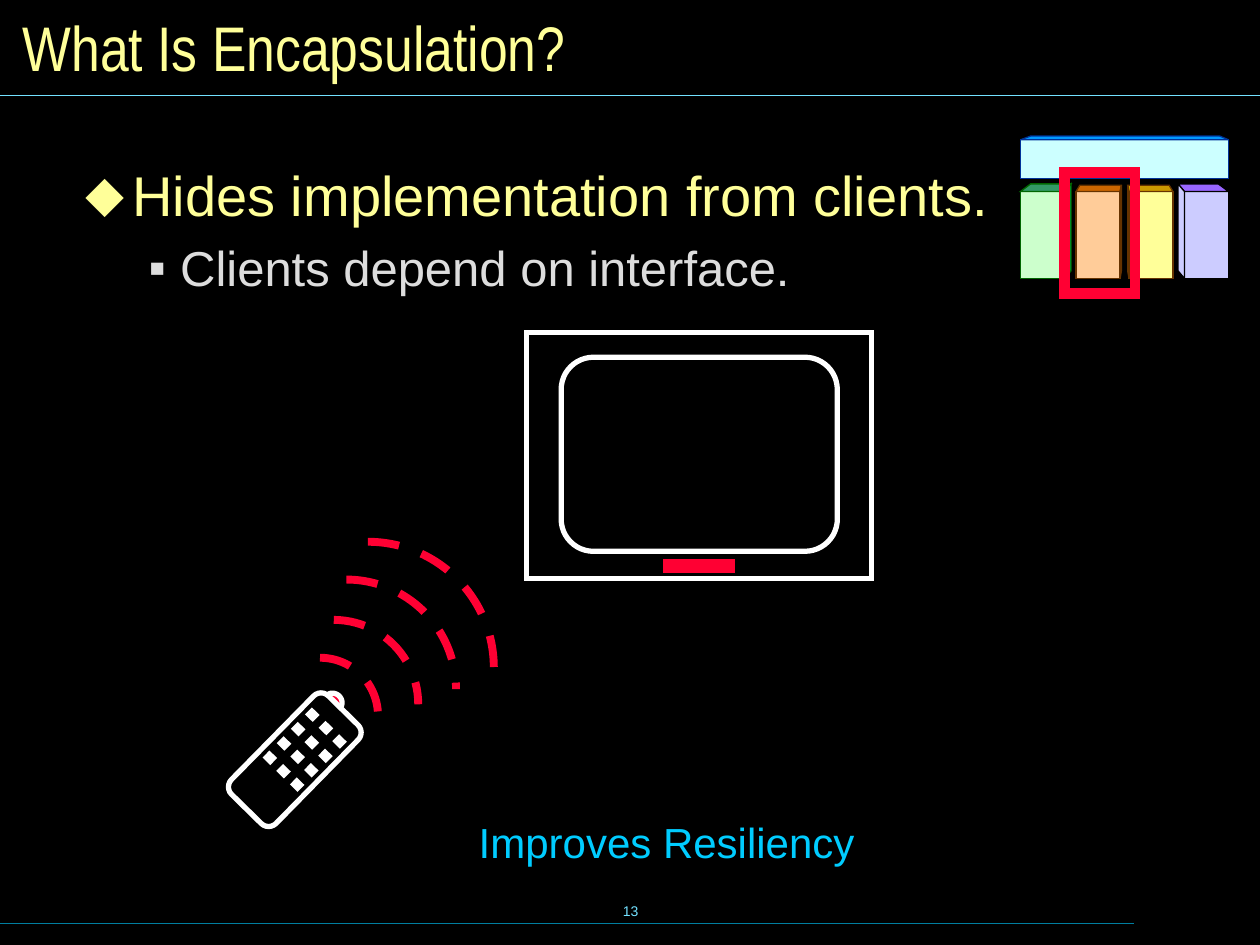
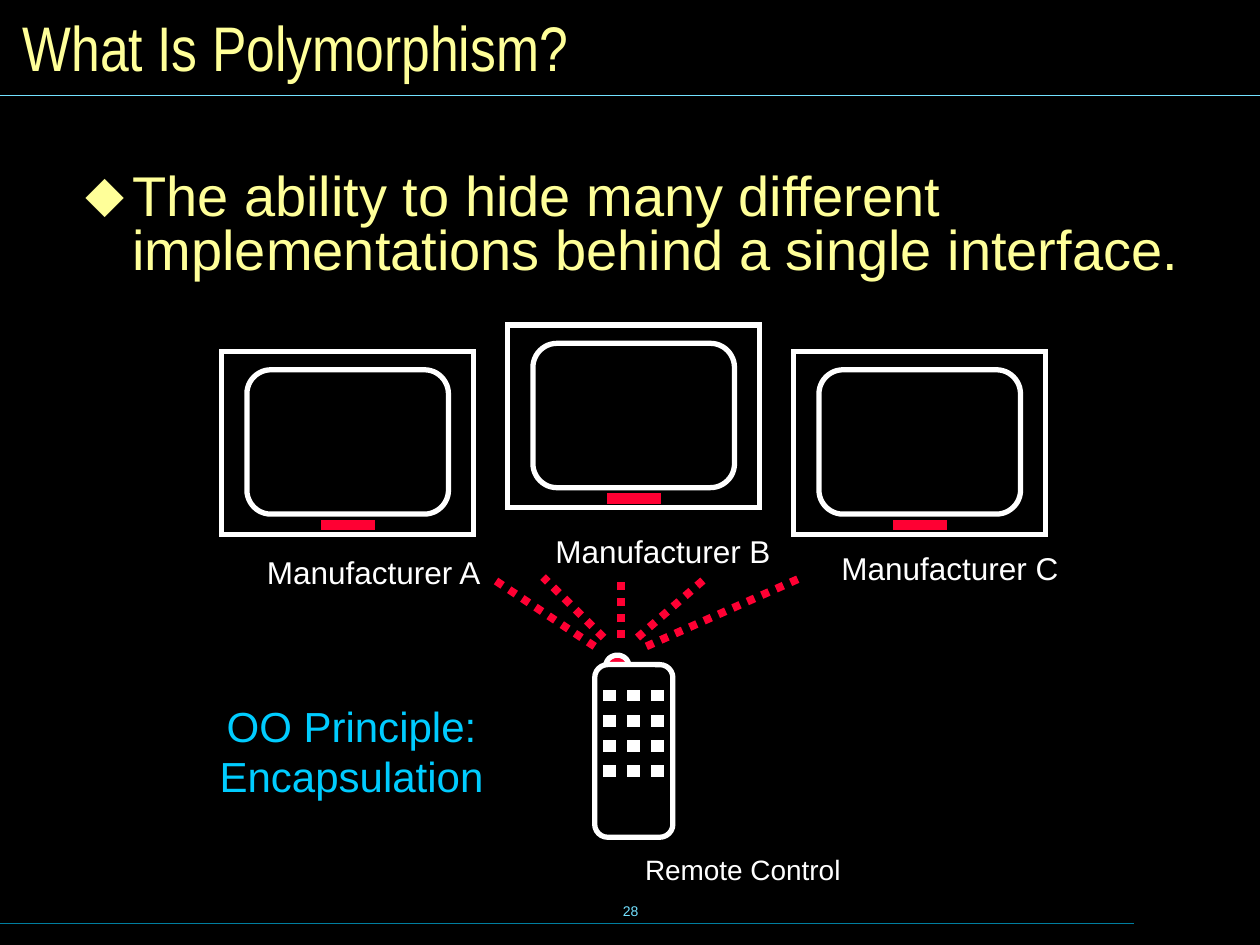
from dataclasses import dataclass
from itertools import product
from math import cos, pi, radians, sin

from lxml.etree import SubElement
from pptx import Presentation
from pptx.dml.color import RGBColor
from pptx.enum.dml import MSO_LINE
from pptx.enum.shapes import MSO_CONNECTOR, MSO_SHAPE
from pptx.enum.text import MSO_ANCHOR, MSO_AUTO_SIZE, PP_ALIGN
from pptx.oxml.ns import qn
from pptx.util import Inches, Pt

BLACK = RGBColor(0x00, 0x00, 0x00)
WHITE = RGBColor(0xFF, 0xFF, 0xFF)
RED = RGBColor(0xFF, 0x00, 0x33)
PALE_YELLOW = RGBColor(0xFF, 0xFF, 0x99)
LIGHT_GRAY = RGBColor(0xDD, 0xDD, 0xDD)
SKY_BLUE = RGBColor(0x00, 0xCC, 0xFF)
LIGHT_CYAN = RGBColor(0x73, 0xE1, 0xFF)
DARK_CYAN = RGBColor(0x00, 0x7E, 0x9F)
DARK_GREEN = RGBColor(0x00, 0x66, 0x00)
BROWN = RGBColor(0x66, 0x33, 0x00)
LAVENDER = RGBColor(0xCC, 0xCC, 0xFF)

Point = tuple[float, float]


@dataclass(frozen=True)
class BulletLevel:
    symbol: str
    color: RGBColor
    size: float
    margin: float
    hanging: float
    line_spacing: float
    space_before: float


@dataclass(frozen=True)
class Label:
    text: str
    left: float
    top: float
    width: float
    height: float
    size: float
    color: RGBColor = WHITE
    align: PP_ALIGN = PP_ALIGN.LEFT
    inset: float = 0.1
    anchor: MSO_ANCHOR = MSO_ANCHOR.TOP


@dataclass(frozen=True)
class Television:
    left: float
    top: float
    width: float = 2
    height: float = 1.45


@dataclass(frozen=True)
class Remote:
    center: Point
    scale: float = 1
    rotation: float = 0

    def place(self, x: float, y: float) -> Point:
        """Turn an offset from the upright remote's centre into a slide position."""
        angle = radians(self.rotation)
        return (self.center[0] + self.scale * (x * cos(angle) - y * sin(angle)),
                self.center[1] + self.scale * (x * sin(angle) + y * cos(angle)))


@dataclass(frozen=True)
class Wave:
    center: Point
    radius: float


@dataclass(frozen=True)
class Block:
    left: float
    right: float
    top: float
    bottom: float
    back_left: float
    back_right: float
    back_top: float
    front: RGBColor
    lid: RGBColor
    side: RGBColor
    edge: RGBColor


LEVELS = (
    BulletLevel("⬥", PALE_YELLOW, 32, 0.37, 0.37, 0.8, 12),
    BulletLevel("▪", LIGHT_GRAY, 28, 0.75, 0.25, 0.87, 10.5),
)

WAVES = (
    Wave((2.54, 5.68), 0.46),
    Wave((2.65, 5.59), 0.67),
    Wave((2.75, 5.47), 0.87),
    Wave((2.92, 5.3), 1),
)

BLOCKS = (
    Block(8.1, 8.45, 1.52, 2.21, 8.18, 8.5, 1.46, RGBColor(0xCC, 0xFF, 0xCC),
          RGBColor(0x33, 0x99, 0x66), RGBColor(0x00, 0xCC, 0x66), DARK_GREEN),
    Block(9.4, 9.75, 1.52, 2.21, 9.35, 9.67, 1.46, LAVENDER,
          RGBColor(0x99, 0x66, 0xFF), LAVENDER, BLACK),
    Block(8.1, 9.75, 1.11, 1.42, 8.18, 9.68, 1.08, RGBColor(0xCC, 0xFF, 0xFF),
          RGBColor(0x00, 0x99, 0xFF), SKY_BLUE, RGBColor(0x00, 0x33, 0x99)),
    Block(8.54, 8.89, 1.52, 2.21, 8.57, 8.9, 1.47, RGBColor(0xFF, 0xCC, 0x99),
          RGBColor(0xCC, 0x66, 0x00), RGBColor(0xCC, 0x66, 0x00), BROWN),
    Block(8.96, 9.31, 1.52, 2.21, 8.95, 9.28, 1.47, PALE_YELLOW,
          RGBColor(0xCC, 0x99, 0x00), RGBColor(0xCC, 0xCC, 0x00), BROWN),
)


# Drawing helpers
def style_shape(shape, fill: RGBColor | None, line: RGBColor, width: float) -> None:
    shape.shadow.inherit = False
    if fill is None:
        shape.fill.background()
    else:
        shape.fill.solid()
        shape.fill.fore_color.rgb = fill
    shape.line.color.rgb = line
    shape.line.width = Pt(width)
    # Square corners
    SubElement(shape._element.spPr.find(qn("a:ln")), qn("a:miter"), lim="800000")


def add_box(slide, kind: MSO_SHAPE, left: float, top: float, width: float, height: float,
            fill: RGBColor | None, line: RGBColor, line_width: float):
    shape = slide.shapes.add_shape(kind, Inches(left), Inches(top), Inches(width), Inches(height))
    style_shape(shape, fill, line, line_width)
    return shape


def add_outline(slide, points: list[Point], fill: RGBColor, line: RGBColor,
                line_width: float, close: bool = True) -> None:
    start, *others = [(Inches(x), Inches(y)) for x, y in points]
    builder = slide.shapes.build_freeform(*start)
    builder.add_line_segments(others, close=close)
    style_shape(builder.convert_to_shape(), fill, line, line_width)


def add_line(slide, start: Point, end: Point, color: RGBColor, width: float):
    connector = slide.shapes.add_connector(
        MSO_CONNECTOR.STRAIGHT, *(Inches(value) for value in start + end))
    connector.line.color.rgb = color
    connector.line.width = Pt(width)
    SubElement(connector._element.spPr, qn("a:effectLst"))
    return connector


def set_font(paragraph, name: str, size: float, color: RGBColor) -> None:
    paragraph.font.name = name
    paragraph.font.size = Pt(size)
    paragraph.font.color.rgb = color


def set_insets(frame, inset: float) -> None:
    frame.margin_left = frame.margin_right = Inches(inset)
    frame.margin_top = frame.margin_bottom = Inches(inset / 2)


def add_label(slide, label: Label) -> None:
    box = slide.shapes.add_textbox(Inches(label.left), Inches(label.top),
                                   Inches(label.width), Inches(label.height))
    frame = box.text_frame
    frame.word_wrap = True
    frame.vertical_anchor = label.anchor
    set_insets(frame, label.inset)
    paragraph = frame.paragraphs[0]
    paragraph.text = label.text
    paragraph.alignment = label.align
    set_font(paragraph, "Arial", label.size, label.color)


def add_principle(slide, text: str, left: float, top: float, height: float) -> None:
    add_label(slide, Label(text, left, top, 4.58, height, 24, SKY_BLUE,
                           PP_ALIGN.CENTER, inset=0.12))


# Placeholders and the frame every slide shares
def place(shape, left: float, top: float, width: float, height: float) -> None:
    shape.left, shape.top = Inches(left), Inches(top)
    shape.width, shape.height = Inches(width), Inches(height)
    shape.text_frame.auto_size = MSO_AUTO_SIZE.NONE


def fill_title(title, text: str) -> None:
    place(title, 0.08, 0.08, 9.84, 0.58)
    title.text_frame.vertical_anchor = MSO_ANCHOR.MIDDLE
    set_insets(title.text_frame, 0.1)
    paragraph = title.text_frame.paragraphs[0]
    paragraph.text = text
    paragraph.alignment = PP_ALIGN.LEFT
    set_font(paragraph, "Arial Narrow", 36, PALE_YELLOW)


def fill_body(body, items: list[str]) -> None:
    place(body, 0.56, 1.32, 9.28, 5.52)
    frame = body.text_frame
    set_insets(frame, 0.12)
    for index, (text, level) in enumerate(zip(items, LEVELS)):
        paragraph = frame.add_paragraph() if index else frame.paragraphs[0]
        paragraph.text = text
        paragraph.level = index
        properties = paragraph._p.get_or_add_pPr()
        properties.set("marL", str(Inches(level.margin)))
        properties.set("indent", str(-Inches(level.hanging)))
        bullet_color = SubElement(properties, qn("a:buClr"))
        SubElement(bullet_color, qn("a:srgbClr"), val=str(level.color))
        SubElement(properties, qn("a:buChar"), char=level.symbol)
        paragraph.line_spacing = level.line_spacing
        paragraph.space_before = Pt(level.space_before if index else 0)
        set_font(paragraph, "Arial", level.size, level.color)


def add_content_slide(presentation, title: str, items: list[str], number: str):
    slide = presentation.slides.add_slide(presentation.slide_layouts[1])
    add_label(slide, Label(number, 3.42, 6.98, 3.17, 0.5, 8, LIGHT_CYAN,
                           PP_ALIGN.CENTER, anchor=MSO_ANCHOR.MIDDLE))
    add_line(slide, (0, 7.33), (9, 7.33), DARK_CYAN, 0.75)
    add_line(slide, (0, 0.76), (10, 0.76), LIGHT_CYAN, 0.75)
    fill_title(slide.shapes.title, title)
    fill_body(slide.placeholders[1], items)
    return slide


# Illustrations
def draw_television(slide, tv: Television) -> None:
    def add_part(kind, x, y, width, height, fill, line, line_width):
        add_box(slide, kind, tv.left + x * tv.width, tv.top + y * tv.height,
                width * tv.width, height * tv.height, fill, line, line_width)

    add_part(MSO_SHAPE.RECTANGLE, 0, 0, 1, 1, None, WHITE, 3)
    add_part(MSO_SHAPE.ROUNDED_RECTANGLE, 0.1, 0.1, 0.8, 0.79, None, WHITE, 3)
    add_part(MSO_SHAPE.RECTANGLE, 0.4, 0.93, 0.2, 0.04, RED, RED, 2)


def draw_remote(slide, remote: Remote) -> None:
    def add_part(kind, x, y, width, height, fill, line_width):
        center_x, center_y = remote.place(x, y)
        width, height = width * remote.scale, height * remote.scale
        shape = add_box(slide, kind, center_x - width / 2, center_y - height / 2,
                        width, height, fill, WHITE, line_width)
        shape.rotation = remote.rotation

    # Emitter dome, then case and keypad
    steps = 16
    dome = [remote.place(-0.13 - 0.09 * cos(pi * step / steps),
                         -0.68 - 0.08 * sin(pi * step / steps)) for step in range(steps + 1)]
    add_outline(slide, dome, RED, WHITE, 3, close=False)
    add_part(MSO_SHAPE.ROUNDED_RECTANGLE, 0, 0, 0.62, 1.37, None, 3)
    for row, column in product(range(4), range(3)):
        add_part(MSO_SHAPE.RECTANGLE, 0.19 * (column - 1), 0.2 * row - 0.44,
                 0.09, 0.08, WHITE, 1)


def draw_wave(slide, wave: Wave) -> None:
    x, y = wave.center
    arc = add_box(slide, MSO_SHAPE.ARC, x - wave.radius, y - wave.radius,
                  2 * wave.radius, 2 * wave.radius, None, RED, 4.5)
    arc.line.dash_style = MSO_LINE.DASH


def draw_block(slide, block: Block) -> None:
    add_box(slide, MSO_SHAPE.RECTANGLE, block.left, block.top, block.right - block.left,
            block.bottom - block.top, block.front, block.edge, 0.75)
    lid = [(block.left, block.top), (block.back_left, block.back_top),
           (block.back_right, block.back_top), (block.right, block.top)]
    add_outline(slide, lid, block.lid, block.edge, 0.75)
    # A side shows only where the back reaches past the front
    for front_x, back_x, shows in (
            (block.left, block.back_left, block.back_left < block.left),
            (block.right, block.back_right, block.back_right > block.right)):
        if shows:
            side = [(back_x, block.back_top), (front_x, block.top),
                    (front_x, block.bottom), (back_x, block.bottom - 0.06)]
            add_outline(slide, side, block.side, block.edge, 0.75)


def build_encapsulation(presentation) -> None:
    slide = add_content_slide(
        presentation, "What Is Encapsulation?",
        ["Hides implementation from clients.", "Clients depend on interface."], "13")
    add_principle(slide, "Improves Resiliency", 3, 6.42, 0.52)
    for wave in WAVES:
        draw_wave(slide, wave)
    draw_remote(slide, Remote((2.34, 6.03), 0.8, 44.5))
    draw_television(slide, Television(4.18, 2.64, 2.74, 1.95))
    for block in BLOCKS:
        draw_block(slide, block)
    add_box(slide, MSO_SHAPE.RECTANGLE, 8.45, 1.37, 0.56, 0.96, None, RED, 6)


def build_polymorphism(presentation) -> None:
    slide = add_content_slide(
        presentation, "What Is Polymorphism?",
        ["The ability to hide many different implementations behind a single interface."], "28")
    draw_remote(slide, Remote((5.03, 5.96)))
    for index, top in enumerate((2.79, 2.58, 2.79)):
        draw_television(slide, Television(1.76 + 2.27 * index, top))
    for maker, left, top in (("A", 2.02, 4.34), ("B", 4.31, 4.17), ("C", 6.58, 4.31)):
        add_label(slide, Label(f"Manufacturer {maker}", left, top, 2.1, 0.4, 18))
    # Beams from the remote
    for start, end_x in (((4.72, 5.13), 3.89), ((4.93, 5.06), 4.93), ((5.13, 5.13), 6.37),
                         ((4.79, 5.06), 4.31), ((5.06, 5.06), 5.61)):
        beam = add_line(slide, start, (end_x, 4.58), RED, 4.5)
        beam.line.dash_style = MSO_LINE.ROUND_DOT
    add_principle(slide, "OO Principle:\nEncapsulation", 0.5, 5.5, 0.92)
    add_label(slide, Label("Remote Control", 5, 6.71, 2, 0.39, 16, inset=0.12))


def main() -> None:
    presentation = Presentation()
    presentation.slide_width, presentation.slide_height = Inches(10), Inches(7.5)
    background = presentation.slide_master.background.fill
    background.solid()
    background.fore_color.rgb = BLACK
    build_encapsulation(presentation)
    build_polymorphism(presentation)
    presentation.save("out.pptx")


if __name__ == "__main__":
    main()
